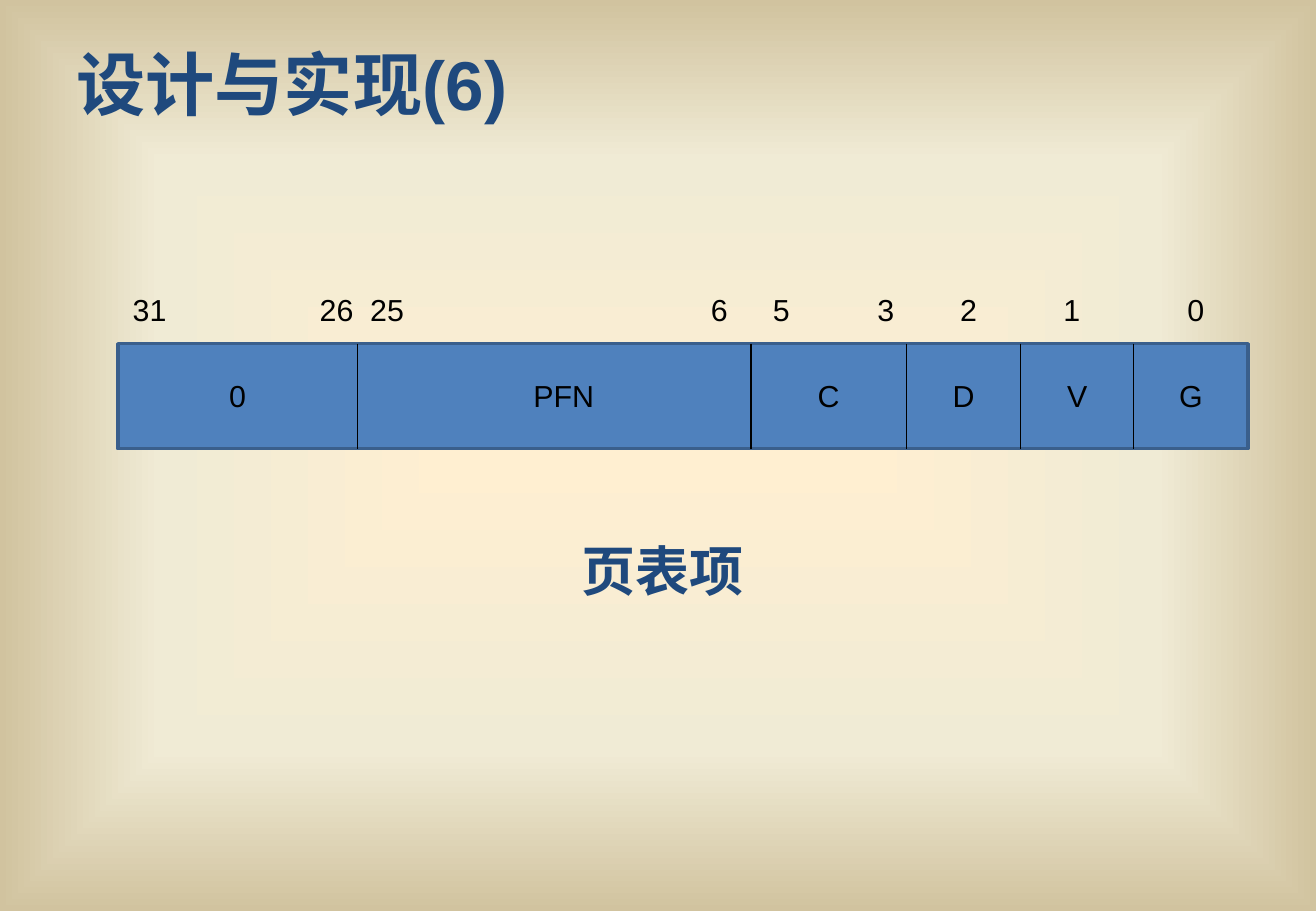
import dataclasses

import pptx
import pptx.dml.color
import pptx.enum.shapes
import pptx.enum.text
import pptx.oxml
import pptx.oxml.ns
import pptx.util


@dataclasses.dataclass(frozen=True)
class Theme:
    ink: str = "000000"
    heading: str = "1F497D"
    bar_fill: str = "4F81BD"
    bar_line: str = "3A5F8C"
    background: tuple = ((0, "FFEFD1"), (65, "F0EBD5"), (100, "D1C39F"))
    label_size: float = 18
    title_size: float = 41
    caption_size: float = 32
    bar_width: float = 2
    divider_width: float = 0.75
    latin_font: str = "Arial"
    heading_font: str = "Calibri"


def color(value):
    return pptx.dml.color.RGBColor.from_string(value)


def write(paragraph, text, *, size, font, ink, bold=False):
    run = paragraph.add_run()
    run.text = text
    run.font.size = pptx.util.Pt(size)
    run.font.name = font
    run.font.bold = bold
    run.font.color.rgb = color(ink)
    east_asian = pptx.oxml.ns.qn("a:ea")
    properties = run.font._element
    properties.find(pptx.oxml.ns.qn("a:latin")).addnext(
        properties.makeelement(east_asian, {"typeface": font}))


class Canvas:
    cell = pptx.util.Inches(0.1)

    def __init__(self, slide, theme):
        self.slide = slide
        self.theme = theme

    def place(self, *cells):
        return [round(count * self.cell) for count in cells]

    def background(self):
        fill = self.slide.background.fill
        fill.gradient()
        stops = "".join(
            f'<a:gs pos="{share * 1000}"><a:srgbClr val="{value}"/></a:gs>'
            for share, value in self.theme.background)
        gradient = pptx.oxml.parse_xml(
            f'<a:gradFill {pptx.oxml.ns.nsdecls("a")} rotWithShape="1">'
            f'<a:gsLst>{stops}</a:gsLst><a:path path="shape">'
            '<a:fillToRect l="50000" t="50000" r="50000" b="50000"/>'
            '</a:path></a:gradFill>')
        current = next(self.slide.element.iter(pptx.oxml.ns.qn("a:gradFill")))
        current.getparent().replace(current, gradient)

    def bar(self, column, row, columns, rows):
        shape = self.slide.shapes.add_shape(
            pptx.enum.shapes.MSO_SHAPE.RECTANGLE,
            *self.place(column, row, columns, rows))
        shape.shadow.inherit = False
        shape.fill.solid()
        shape.fill.fore_color.rgb = color(self.theme.bar_fill)
        shape.line.color.rgb = color(self.theme.bar_line)
        shape.line.width = pptx.util.Pt(self.theme.bar_width)

    def divider(self, column, top, bottom):
        connector = self.slide.shapes.add_connector(
            pptx.enum.shapes.MSO_CONNECTOR.STRAIGHT,
            *self.place(column, top, column, bottom))
        connector.line.color.rgb = color(self.theme.ink)
        connector.line.width = pptx.util.Pt(self.theme.divider_width)
        properties = connector._element.spPr
        properties.append(
            properties.makeelement(pptx.oxml.ns.qn("a:effectLst"), {}))

    def text(self, column, row, columns, rows, runs, centered=True, **style):
        shape = self.slide.shapes.add_textbox(
            *self.place(column, row, columns, rows))
        frame = shape.text_frame
        frame.word_wrap = True
        frame.auto_size = pptx.enum.text.MSO_AUTO_SIZE.SHAPE_TO_FIT_TEXT
        paragraph = frame.paragraphs[0]
        alignment = pptx.enum.text.PP_ALIGN
        paragraph.alignment = alignment.CENTER if centered else alignment.LEFT
        for text, font in runs:
            write(paragraph, text, font=font, **style)

    def label(self, center, row, columns, text):
        self.text(center - columns / 2, row, columns, 4,
                  [(text, self.theme.latin_font)],
                  size=self.theme.label_size, ink=self.theme.ink)

    def heading(self, column, row, columns, rows, runs, size, centered):
        self.text(column, row, columns, rows, runs, centered,
                  size=size, ink=self.theme.heading, bold=True)


BAR_TOP, BAR_ROWS = 28.3, 8.65
FIELD_EDGES = [9.7, 29.4, 61.8, 74.6, 84, 93.3, 102.7]
FIELD_NAMES = ["0", "PFN", "C", "D", "V", "G"]
NAME_SHIFTS = {"PFN": 0.8}
BIT_CENTERS = {"31": 12.3, "26": 27.7, "25": 31.85, "6": 59.2, "5": 64.3,
               "3": 72.9, "2": 79.7, "1": 88.2, "0": 98.4}


def main():
    presentation = pptx.Presentation()
    presentation.slide_width = pptx.util.Inches(10.83)
    presentation.slide_height = pptx.util.Inches(7.5)
    slide = presentation.slides.add_slide(presentation.slide_layouts[6])
    theme = Theme()
    canvas = Canvas(slide, theme)
    canvas.background()

    canvas.bar(FIELD_EDGES[0], BAR_TOP,
               FIELD_EDGES[-1] - FIELD_EDGES[0], BAR_ROWS)
    for edge in FIELD_EDGES[1:-1]:
        canvas.divider(edge, BAR_TOP, BAR_TOP + BAR_ROWS)
    for bit, center in BIT_CENTERS.items():
        canvas.label(center, 23.5, 6.8, bit)
    for name, left, right in zip(FIELD_NAMES, FIELD_EDGES, FIELD_EDGES[1:]):
        center = (left + right) / 2 + NAME_SHIFTS.get(name, 0)
        canvas.label(center, 30.6, 11.1, name)

    canvas.heading(5.3, 2.9, 92.1, 7.9,
                   [("设计与实现", theme.heading_font), ("(6)", theme.latin_font)],
                   theme.title_size, centered=False)
    canvas.heading(34.5, 43.8, 40.1, 6.4, [("页表项", theme.heading_font)],
                   theme.caption_size, centered=True)
    presentation.save("out.pptx")


if __name__ == "__main__":
    main()
